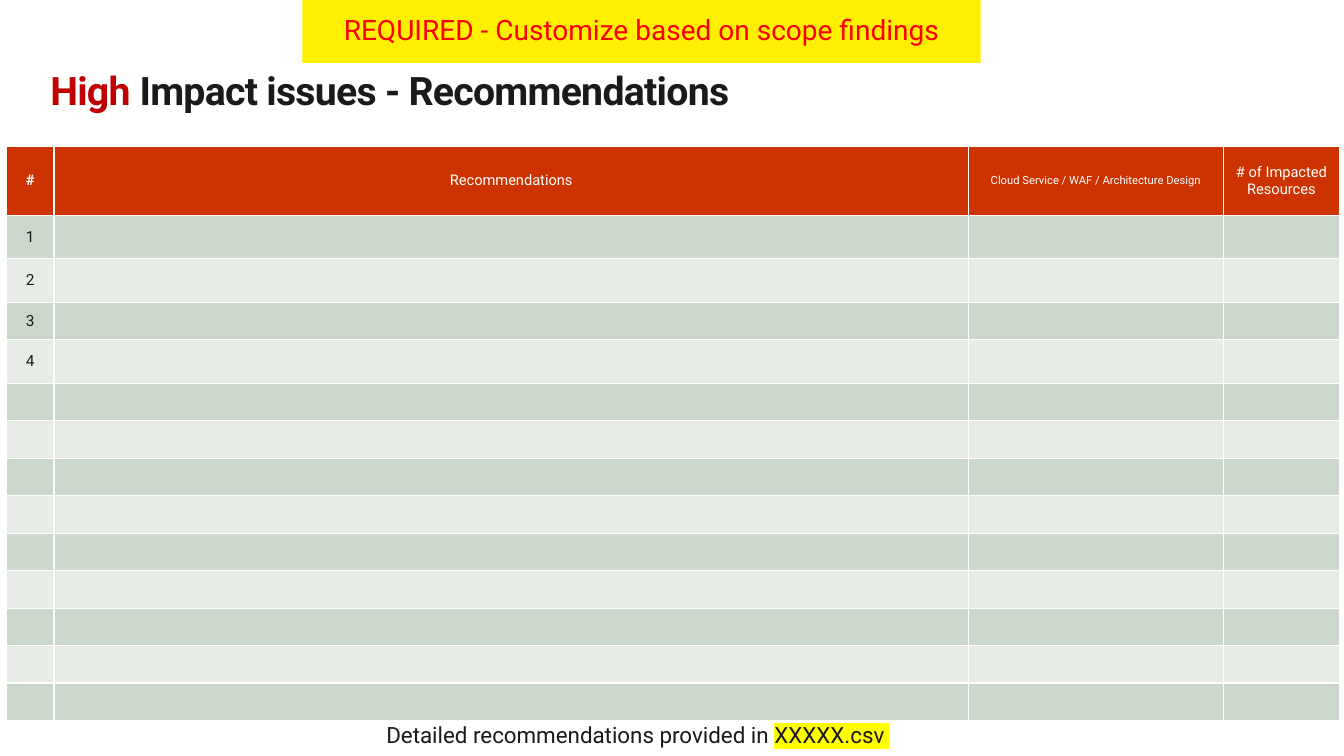
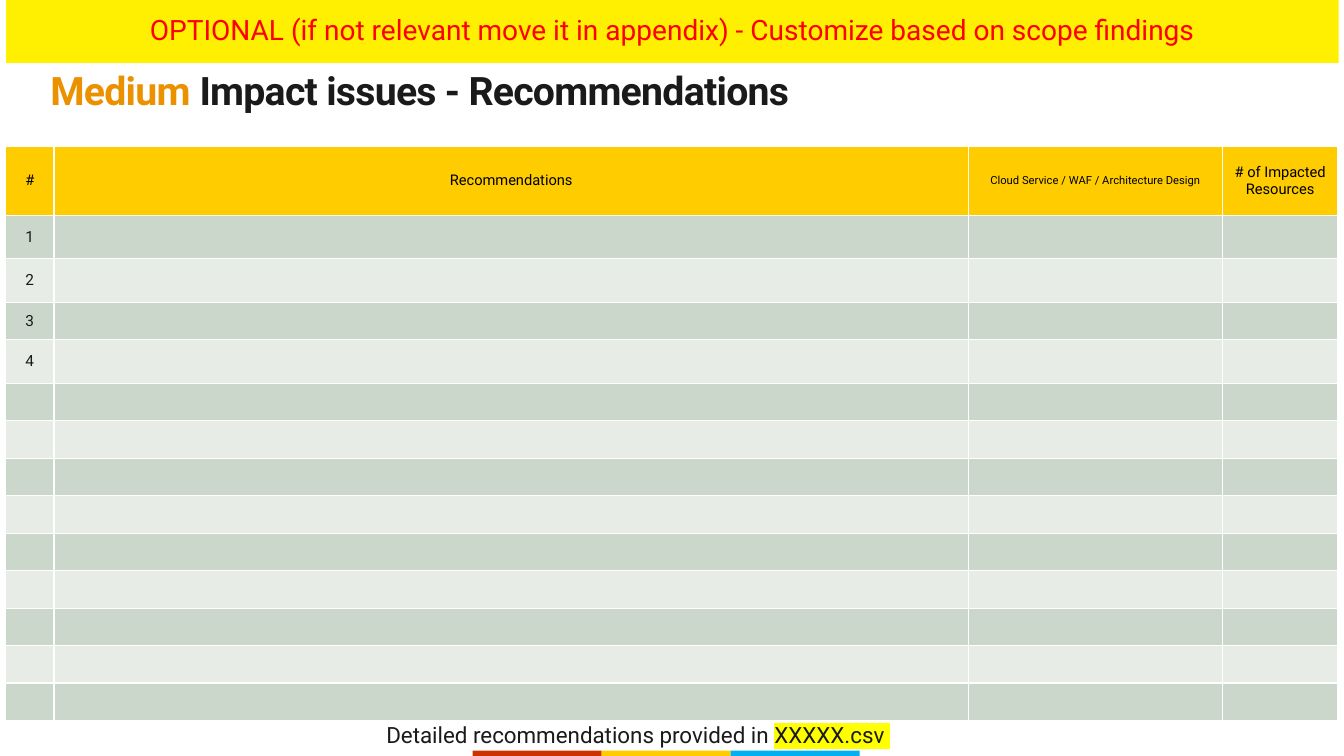
from lxml import etree
from pptx import Presentation
from pptx.dml.color import RGBColor
from pptx.enum.shapes import MSO_SHAPE
from pptx.enum.text import MSO_ANCHOR, PP_ALIGN
from pptx.oxml.ns import qn
from pptx.util import Emu, Pt

RECT = MSO_SHAPE.RECTANGLE
MIDDLE, TOP = MSO_ANCHOR.MIDDLE, MSO_ANCHOR.TOP
LEFT, CENTER = PP_ALIGN.LEFT, PP_ALIGN.CENTER

PX = 914400 / 250
FONT = "Roboto"
WHITE, BLACK, INK = "FFFFFF", "000000", "1A1A1A"
RED, GOLD, BLUE = "CC3300", "FFCC00", "00B0F0"
BANNER_FILL, BANNER_INK, MARKER = "FEF000", "FF0000", "FFFF00"
BANDS = ("CCD7CC", "E7ECE7")

HEADERS = [
    ("#", 10.5),
    ("Recommendations", 10.5),
    ("Cloud Service / WAF / Architecture Design", 8),
    ("# of Impacted Resources", 10.5),
]
NUMBERS = ["1", "2", "3", "4"]
ROWS = [172, 108, 108, 93, 108] + [93] * 9
TABLE_TOP = 362

SLIDES = [
    dict(level="High", level_color="C00000",
         banner="REQUIRED - Customize based on scope findings",
         banner_x=750, banner_w=1682,
         table_x=16, cols=[118, 2268, 632, 288],
         head_fill=RED, head_ink=WHITE, number_bold=True, stripes=[]),
    dict(level="Medium", level_color="EB9100",
         banner="OPTIONAL (if not relevant move it in appendix) - "
                "Customize based on scope findings",
         banner_x=15, banner_w=3305,
         table_x=14, cols=[120, 2268, 630, 286],
         head_fill=GOLD, head_ink=BLACK, number_bold=False,
         stripes=[RED, GOLD, BLUE]),
]


def px(n):
    return Emu(round(n * PX))


def rgb(value):
    return RGBColor.from_string(value)


def write(tf, runs, size, color=INK, bold=False, align=LEFT, anchor=TOP,
          spacing=None, after=None, tracking=None, margins=None):
    tf.word_wrap = True
    tf.vertical_anchor = anchor
    if margins is not None:
        tf.margin_left = tf.margin_right = px(margins[0])
        tf.margin_top = tf.margin_bottom = px(margins[1])
    p = tf.paragraphs[0]
    p.alignment = align
    if spacing is not None:
        p.line_spacing = spacing
    if after is not None:
        p.space_after = after
    for text, own in runs:
        r = p.add_run()
        r.text = text
        r.font.size = Pt(size)
        r.font.bold = bold
        r.font.color.rgb = rgb(own.get("color", color))
        r.font.name = FONT
        rPr = r.font._element
        if tracking is not None:
            rPr.set("spc", str(tracking))
        if "highlight" in own:
            mark = etree.Element(qn("a:highlight"))
            etree.SubElement(mark, qn("a:srgbClr"), val=own["highlight"])
            rPr.find(qn("a:solidFill")).addnext(mark)
    if not runs:
        etree.SubElement(p._p, qn("a:endParaRPr"), sz=str(size * 100))


def add_text(s, x, y, w, h, runs, size, **fmt):
    box = s.shapes.add_textbox(px(x), px(y), px(w), px(h))
    write(box.text_frame, runs, size, margins=(0, 0), **fmt)


def add_rect(s, x, y, w, h, fill):
    sp = s.shapes.add_shape(RECT, px(x), px(y), px(w), px(h))
    sp.shadow.inherit = False
    sp.fill.solid()
    sp.fill.fore_color.rgb = rgb(fill)
    sp.line.fill.background()
    return sp


def paint_cell(cell, fill):
    tcPr = cell._tc.get_or_add_tcPr()
    for side in ("lnL", "lnR", "lnT", "lnB"):
        ln = etree.SubElement(tcPr, qn("a:" + side), w=str(Pt(1)))
        etree.SubElement(etree.SubElement(ln, qn("a:solidFill")),
                         qn("a:srgbClr"), val=WHITE)
    cell.fill.solid()
    cell.fill.fore_color.rgb = rgb(fill)


def add_issue_table(s, d):
    table = s.shapes.add_table(
        len(ROWS), len(HEADERS), px(d["table_x"]), px(TABLE_TOP),
        px(sum(d["cols"])), px(sum(ROWS))).table
    table.first_row = table.horz_banding = False
    for column, width in zip(table.columns, d["cols"]):
        column.width = px(width)
    for i, height in enumerate(ROWS):
        table.rows[i].height = px(height)
        for j, (header, header_size) in enumerate(HEADERS):
            cell = table.cell(i, j)
            cell.vertical_anchor = MIDDLE
            if i == 0:
                paint_cell(cell, d["head_fill"])
                write(cell.text_frame, [(header, {})], header_size,
                      color=d["head_ink"], align=CENTER, anchor=MIDDLE,
                      bold=j == 0 and d["number_bold"])
            else:
                paint_cell(cell, BANDS[(i - 1) % 2])
                numbered = j == 0 and i <= len(NUMBERS)
                write(cell.text_frame,
                      [(NUMBERS[i - 1], {})] if numbered else [], 11,
                      align=CENTER, anchor=MIDDLE)


def add_slide(prs, d):
    s = prs.slides.add_slide(prs.slide_layouts[6])
    add_text(s, 125, 170, 3090, 112,
             [(d["level"], {"color": d["level_color"]}),
              (" Impact issues - Recommendations", {})],
             28, bold=True, spacing=Pt(32), tracking=-50)
    add_issue_table(s, d)
    for i, color in enumerate(d["stripes"]):
        add_rect(s, 1172 + 320 * i, 1862, 320, 13, color)
    banner = add_rect(s, d["banner_x"], 0, d["banner_w"], 156, BANNER_FILL)
    write(banner.text_frame, [(d["banner"], {})], 20, color=BANNER_INK,
          align=CENTER, anchor=MIDDLE, spacing=0.9, after=Pt(6),
          margins=(50, 40))
    add_text(s, 958, 1788, 2370, 68,
             [("Detailed recommendations provided in ", {}),
              ("XXXXX.csv ", {"highlight": MARKER})], 16)


def main():
    prs = Presentation()
    prs.slide_width, prs.slide_height = px(3333), px(1875)
    for d in SLIDES:
        add_slide(prs, d)
    prs.save("out.pptx")


if __name__ == "__main__":
    main()
